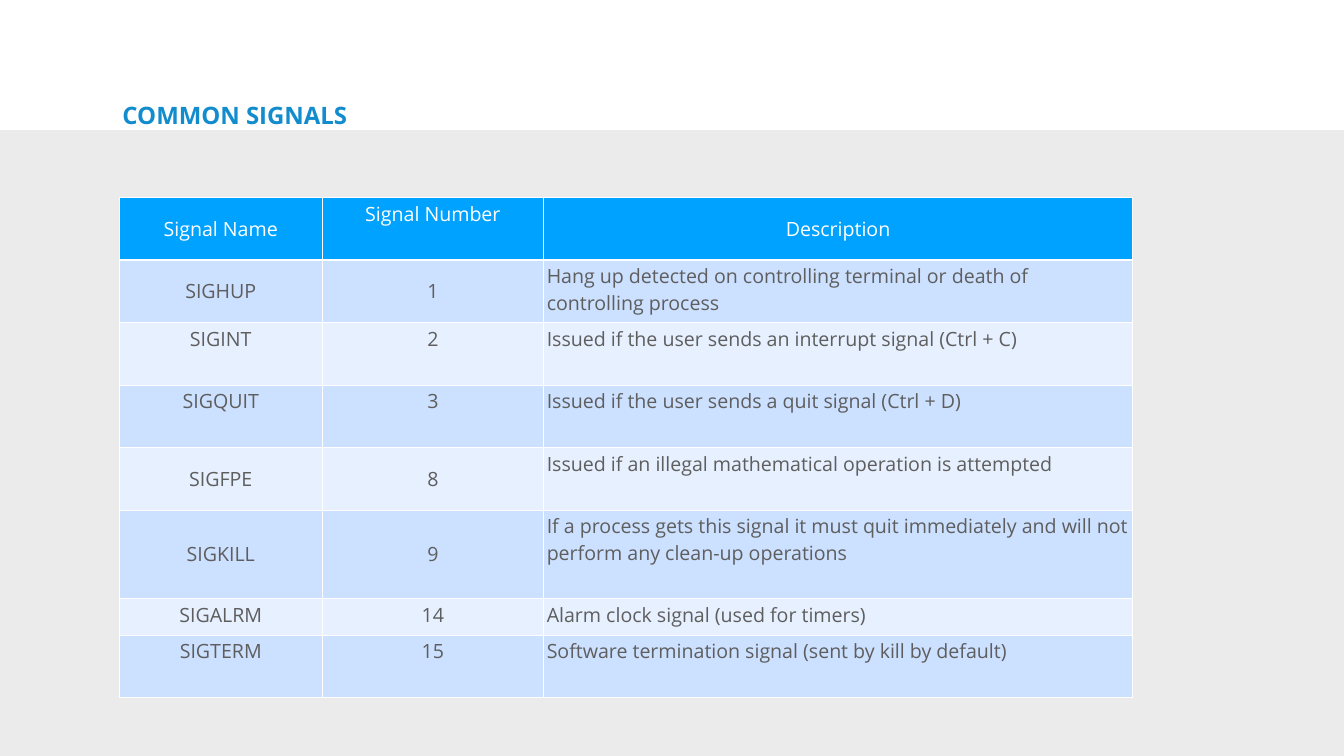
from pptx import Presentation
from pptx.dml.color import RGBColor
from pptx.enum.shapes import MSO_SHAPE
from pptx.enum.text import MSO_ANCHOR, MSO_AUTO_SIZE, PP_ALIGN
from pptx.oxml import parse_xml
from pptx.oxml.ns import nsdecls
from pptx.util import Inches, Pt

COLORS = {
    "panel": "EBEBEB", "title": "128CCD", "header": "00A2FF", "white": "FFFFFF",
    "odd": "CCE0FF", "even": "E7F0FF", "text": "5E5E5E",
}
TOP, MIDDLE = MSO_ANCHOR.TOP, MSO_ANCHOR.MIDDLE
HEADINGS = [("Signal Name", MIDDLE), ("Signal Number", TOP), ("Description", MIDDLE)]
SIGNALS = [
    ("SIGHUP", "1", "Hang up detected on controlling terminal or death of controlling process", MIDDLE),
    ("SIGINT", "2", "Issued if the user sends an interrupt signal (Ctrl + C)", TOP),
    ("SIGQUIT", "3", "Issued if the user sends a quit signal (Ctrl + D)", TOP),
    ("SIGFPE", "8", "Issued if an illegal mathematical operation is attempted", MIDDLE),
    ("SIGKILL", "9", "If a process gets this signal it must quit immediately and will not "
     "perform any clean-up operations", MIDDLE),
    ("SIGALRM", "14", "Alarm clock signal (used for timers)", TOP),
    ("SIGTERM", "15", "Software termination signal (sent by kill by default)", TOP),
]
COLUMN_WIDTHS = [4.02, 4.4, 11.68]
ROW_HEIGHTS = [1.24] * 5 + [1.76, 0.72, 1.24]


class SignalSlide:
    """Holds the style and the slide, and draws each kind of element on it."""

    font_name = "Open Sans"
    inset = Inches(0.06)

    def __init__(self, slide):
        self.slide = slide

    def color(self, name):
        return RGBColor.from_string(COLORS[name])

    def set_insets(self, holder):
        holder.margin_left = holder.margin_right = self.inset
        holder.margin_top = holder.margin_bottom = self.inset

    def set_text(self, frame, text, size, color, align, bold=False):
        frame.text = text
        paragraph = frame.paragraphs[0]
        paragraph.alignment = align
        font = paragraph.font
        font.name, font.size, font.bold = self.font_name, Pt(size), bold
        font.color.rgb = self.color(color)
        return paragraph

    def panel(self, left, top, width, height):
        panel = self.slide.shapes.add_shape(
            MSO_SHAPE.RECTANGLE, Inches(left), Inches(top), Inches(width), Inches(height))
        panel.shadow.inherit = False
        panel.fill.solid()
        panel.fill.fore_color.rgb = self.color("panel")
        panel.line.fill.background()
        self.slide.shapes._spTree.insert(2, panel._element)

    def title(self, text, left, top, width, height):
        title = self.slide.shapes.title
        title.left, title.top = Inches(left), Inches(top)
        title.width, title.height = Inches(width), Inches(height)
        frame = title.text_frame
        self.set_insets(frame)
        frame.word_wrap = True
        frame.auto_size = MSO_AUTO_SIZE.NONE
        frame.vertical_anchor = TOP
        heading = self.set_text(frame, text, 34.2, "title", PP_ALIGN.LEFT, bold=True)
        heading.line_spacing = 0.8

    def borders(self, cell, bottom):
        widths = {"lnL": 1, "lnR": 1, "lnT": 1, "lnB": bottom}
        for position, (side, width) in enumerate(widths.items()):
            border = parse_xml(
                f'<a:{side} {nsdecls("a")} w="{Pt(width)}"><a:solidFill>'
                f'<a:srgbClr val="{COLORS["white"]}"/></a:solidFill></a:{side}>')
            cell._tc.get_or_add_tcPr().insert(position, border)

    def cell(self, cell, text, anchor, align, fill, color="text", bottom=1):
        cell.fill.solid()
        cell.fill.fore_color.rgb = self.color(fill)
        self.set_insets(cell)
        cell.vertical_anchor = anchor
        self.set_text(cell.text_frame, text, 28, color, align)
        self.borders(cell, bottom)

    def table(self, left, top):
        table = self.slide.shapes.add_table(
            len(ROW_HEIGHTS), len(COLUMN_WIDTHS), Inches(left), Inches(top),
            Inches(sum(COLUMN_WIDTHS)), Inches(sum(ROW_HEIGHTS))).table
        for column, width in zip(table.columns, COLUMN_WIDTHS):
            column.width = Inches(width)
        for row, height in zip(table.rows, ROW_HEIGHTS):
            row.height = Inches(height)
        for column, (heading, anchor) in enumerate(HEADINGS):
            self.cell(table.cell(0, column), heading, anchor, PP_ALIGN.CENTER,
                      "header", "white", bottom=3)
        for row, (name, number, description, anchor) in enumerate(SIGNALS, start=1):
            fill = "odd" if row % 2 else "even"
            for column, text in enumerate((name, number)):
                self.cell(table.cell(row, column), text, anchor, PP_ALIGN.CENTER, fill)
            self.cell(table.cell(row, 2), description, TOP, PP_ALIGN.LEFT, fill)


def main():
    presentation = Presentation()
    presentation.slide_width, presentation.slide_height = Inches(26.67), Inches(15)
    signals = SignalSlide(presentation.slides.add_slide(presentation.slide_layouts[5]))
    signals.panel(0, 2.58, 26.67, 12.42)
    signals.title("COMMON SIGNALS", 2.37, 2.05, 16.09, 0.56)
    signals.table(2.37, 3.92)
    presentation.save("out.pptx")


if __name__ == "__main__":
    main()
